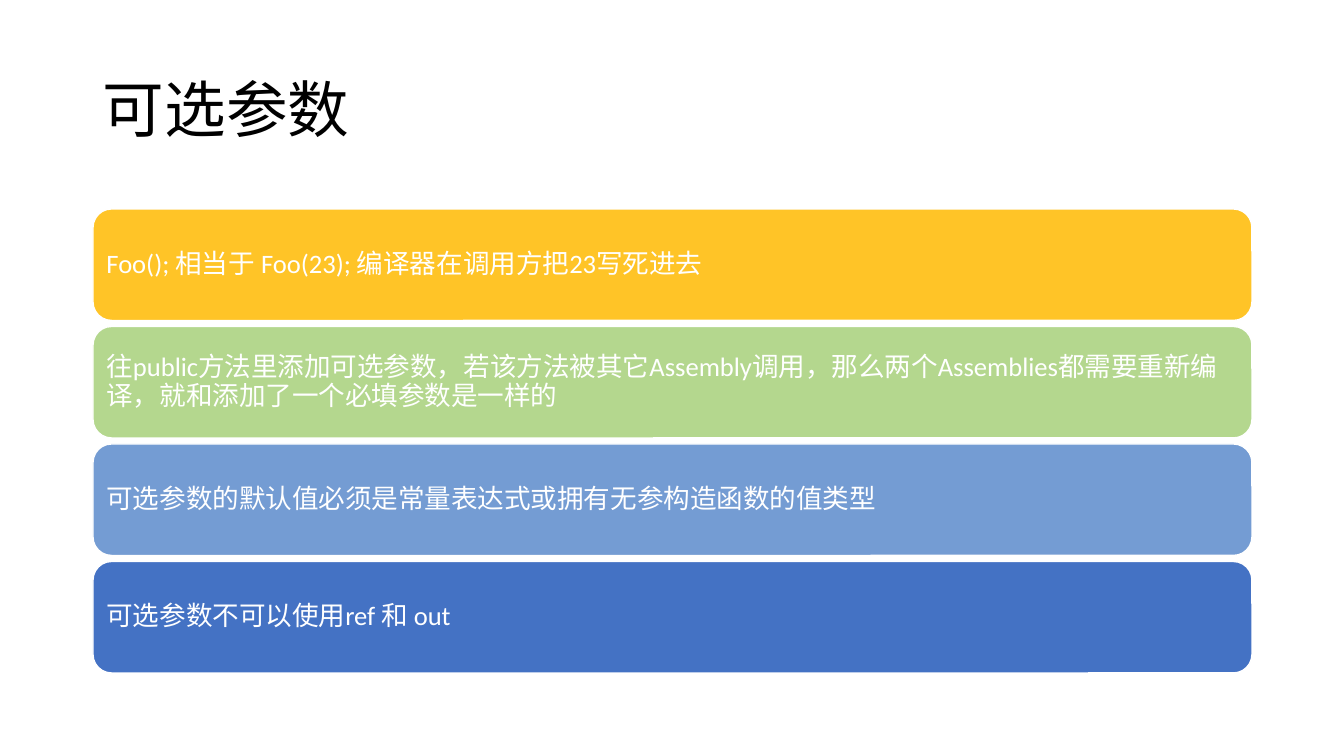
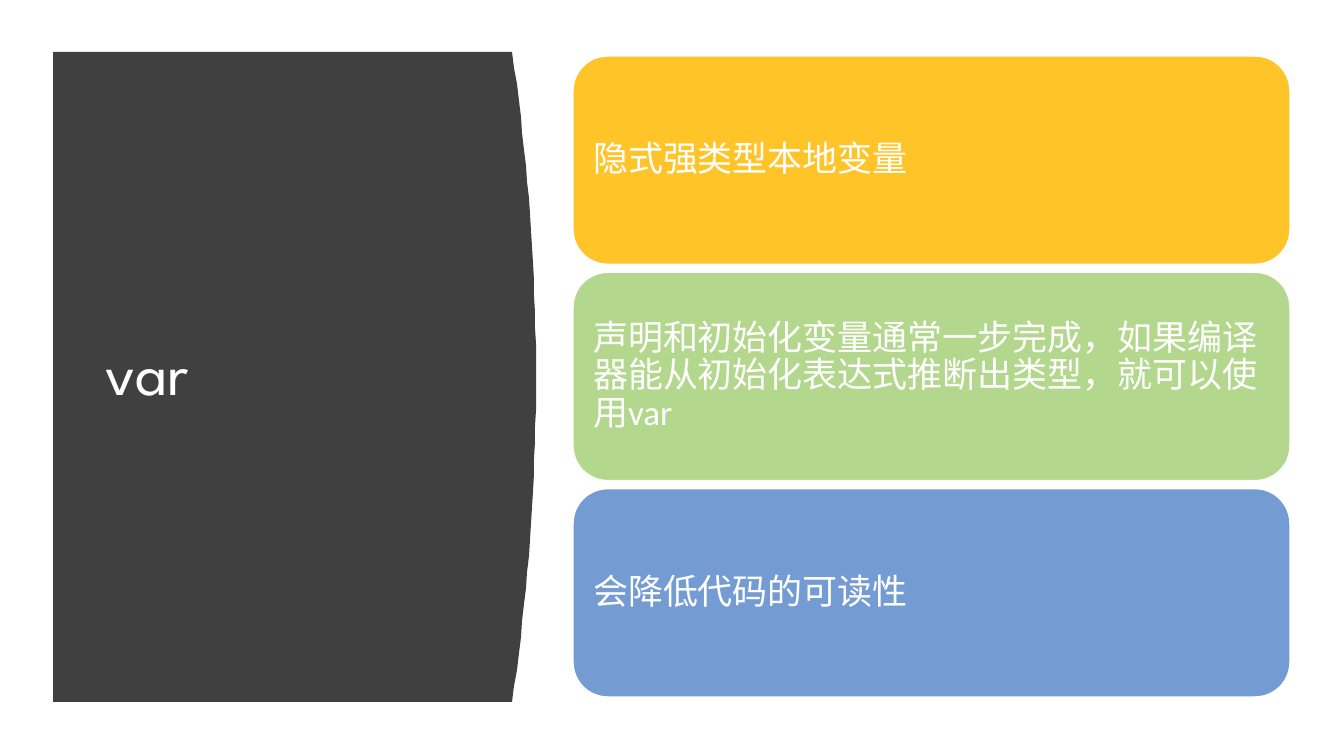
import pptx
import pptx.dml.color
import pptx.enum.shapes
import pptx.enum.text
import pptx.util

# Shared style: one px is 1/100.8 inch
SCALE = 914400 / 100.8
WHITE, BLACK, DARK = "FFFFFF", "000000", "404040"
HUES = ["FFC427", "B4D78E", "749CD3", "4472C4"]
HEAD, BODY = "League Spartan", "Calibri"


def px(n):
    return pptx.util.Emu(round(n * SCALE))


def color(code):
    return pptx.dml.color.RGBColor.from_string(code)


def write(shape, text, size, tint=WHITE, font=BODY, pad=(10, 5)):
    """Fill a shape with one left-aligned, vertically centred paragraph."""
    frame = shape.text_frame
    frame.word_wrap = True
    frame.auto_size = pptx.enum.text.MSO_AUTO_SIZE.NONE
    frame.vertical_anchor = pptx.enum.text.MSO_ANCHOR.MIDDLE
    frame.margin_left = frame.margin_right = px(pad[0])
    frame.margin_top = frame.margin_bottom = px(pad[1])
    para = frame.paragraphs[0]
    para.alignment = pptx.enum.text.PP_ALIGN.LEFT
    para.line_spacing = 0.9
    run = para.add_run()
    run.text = text
    run.font.size = pptx.util.Pt(size)
    run.font.name = font
    run.font.color.rgb = color(tint)


def paint(shape, fill, line=None):
    shape.shadow.inherit = False
    shape.fill.solid()
    shape.fill.fore_color.rgb = color(fill)
    if line:
        shape.line.color.rgb = color(line)
        shape.line.width = pptx.util.Pt(1)
    else:
        shape.line.fill.background()


def add_page(deck, title, box, tint):
    """Add a title-only slide with its title placed in box."""
    page = deck.slides.add_slide(deck.slide_layouts[5])
    head = page.shapes.title
    head.left, head.top, head.width, head.height = map(px, box)
    write(head, title, 44, tint=tint, font=HEAD)
    return page


def add_cards(page, texts, box, gap, size, pad):
    """Stack equal rounded cards that fill box from top to bottom."""
    left, top, width, height = box
    tall = (height - gap * (len(texts) - 1)) / len(texts)
    for i, (text, hue) in enumerate(zip(texts, HUES)):
        card = page.shapes.add_shape(
            pptx.enum.shapes.MSO_SHAPE.ROUNDED_RECTANGLE,
            px(left), px(top + i * (tall + gap)), px(width), px(tall))
        paint(card, hue, line=WHITE)
        write(card, text, size, pad=(pad, pad))


def add_panel(page, box, bulge, steps=40):
    """Draw a dark panel with a bowed right side, behind the title."""
    left, top, width, height = box
    edge = []
    for i in range(steps + 1):
        t = i / steps
        bow = bulge * (1 - (2 * t - 1) ** 2)
        edge.append((left + width + bow, top + height * t))
    pen = page.shapes.build_freeform(left, top, scale=SCALE)
    pen.add_line_segments(edge + [(left, top + height)], close=True)
    panel = pen.convert_to_shape()
    paint(panel, DARK)
    page.shapes.title.element.addprevious(panel.element)


def main():
    deck = pptx.Presentation()
    deck.slide_width, deck.slide_height = px(1344), px(756)

    # Optional parameters
    page = add_page(deck, "可选参数", (93, 40, 1159, 146), BLACK)
    add_cards(page, [
        "Foo(); 相当于 Foo(23); 编译器在调用方把23写死进去",
        "往public方法里添加可选参数，若该方法被其它Assembly调用，"
        "那么两个Assemblies都需要重新编译，就和添加了一个必填参数是一样的",
        "可选参数的默认值必须是常量表达式或拥有无参构造函数的值类型",
        "可选参数不可以使用ref 和 out",
    ], (93, 209, 1159, 464), gap=6, size=19, pad=8)

    # The var keyword
    page = add_page(deck, "var", (95, 112, 377, 528), WHITE)
    add_panel(page, (53, 52, 459, 650), bulge=24)
    add_cards(page, [
        "隐式强类型本地变量",
        "声明和初始化变量通常一步完成，如果编译器能从初始化表达式推断出类型，就可以使用var",
        "会降低代码的可读性",
    ], (573, 56, 717, 641), gap=8, size=25, pad=10)

    deck.save("out.pptx")


if __name__ == "__main__":
    main()
